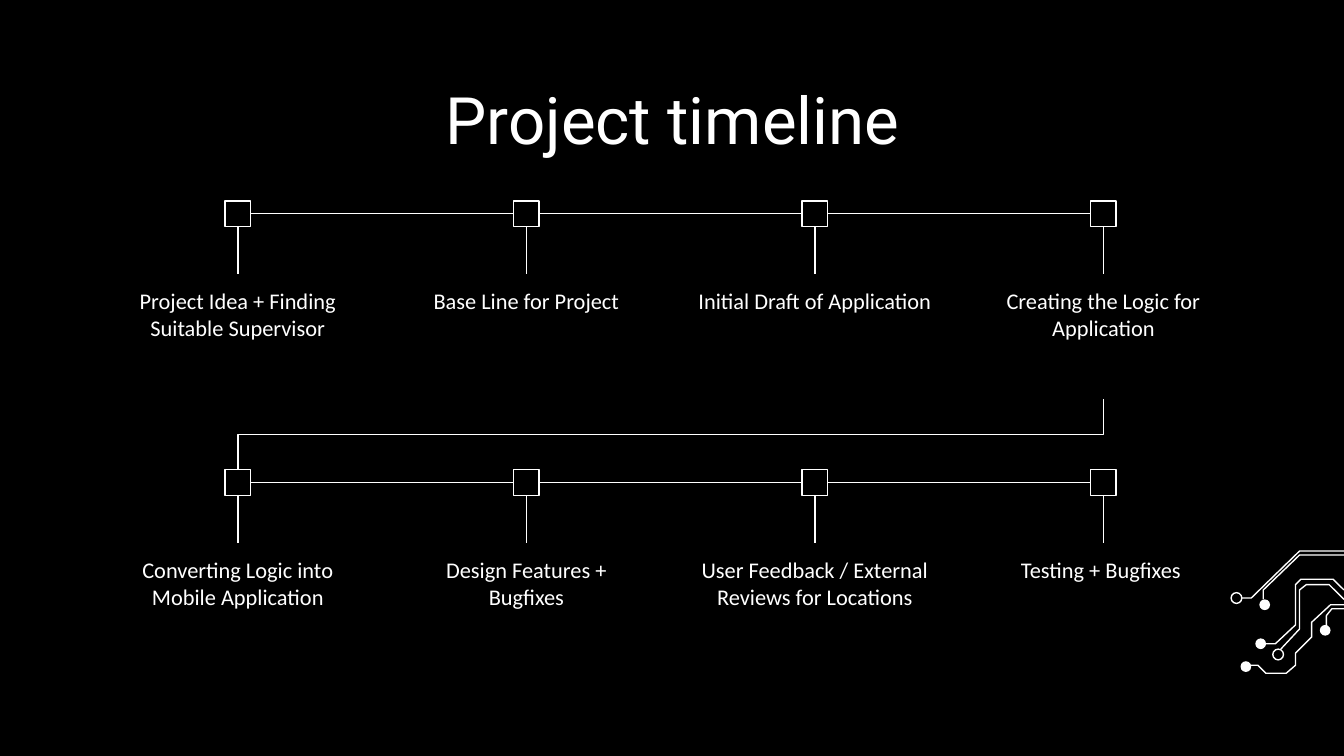
from lxml import etree
from pptx import Presentation
from pptx.dml.color import RGBColor
from pptx.enum import shapes, text
from pptx.oxml.ns import qn
from pptx.util import Inches, Pt

WHITE = "FFFFFF"
BLACK = "000000"
LINE_WIDTH = 0.75
SLIDE_W = 10
SLIDE_H = SLIDE_W * 9 / 16
FIRST_X, LAST_X = 1.77, 8.21
NODE = 0.19
STEM_BOTTOM = 0.45
LABEL_W, LABEL_H = 1.98, 0.93

ROWS = [
    (1.59, ["Project Idea + Finding Suitable Supervisor",
            "Base Line for Project",
            "Initial Draft of Application",
            "Creating the Logic for Application"]),
    (3.59, ["Converting Logic into Mobile Application",
            "Design Features + Bugfixes",
            "User Feedback / External Reviews for Locations",
            "Testing + Bugfixes "]),
]

TRACES = [
    [[(10, 4.13), (9.67, 4.13), (9.4, 4.39), (9.4, 4.46)]],
    [[(10, 4.1), (9.67, 4.1), (9.31, 4.45), (9.24, 4.45)]],
    [[(10, 4.5), (9.9, 4.5), (9.76, 4.63), (9.76, 4.74), (9.64, 4.86),
      (9.64, 4.95), (9.57, 5.01), (9.42, 5.01), (9.36, 4.95), (9.3, 4.95)],
     [(10, 4.53), (9.91, 4.53), (9.87, 4.58), (9.87, 4.67)]],
    [[(10, 4.46), (9.89, 4.35), (9.72, 4.35), (9.67, 4.39),
      (9.67, 4.68), (9.53, 4.83)]],
    [[(10, 4.39), (9.92, 4.31), (9.68, 4.31), (9.64, 4.35),
      (9.64, 4.65), (9.49, 4.79), (9.4, 4.79)]],
]
DOTS = [(9.38, 4.79), (9.27, 4.96), (9.86, 4.69), (9.41, 4.5)]
RINGS = [(9.51, 4.87), (9.2, 4.45)]


def rgb(color):
    return RGBColor.from_string(color)


def set_line(sp):
    sp.line.color.rgb = rgb(WHITE)
    sp.line.width = Pt(LINE_WIDTH)


def add_text(s, x, y, w, h, content, size, font):
    tf = s.shapes.add_textbox(Inches(x), Inches(y), Inches(w), Inches(h)).text_frame
    tf.word_wrap = True
    tf.vertical_anchor = text.MSO_ANCHOR.TOP
    tf.margin_left = tf.margin_right = Inches(0.1)
    tf.margin_top = tf.margin_bottom = Inches(0.1)
    p = tf.paragraphs[0]
    p.text = content
    p.alignment = text.PP_ALIGN.CENTER
    p.font.size = Pt(size)
    p.font.name = font
    p.font.color.rgb = rgb(WHITE)


def add_marker(s, kind, x, y, size, fill=None, outlined=True):
    sp = s.shapes.add_shape(kind, Inches(x - size / 2), Inches(y - size / 2),
                            Inches(size), Inches(size))
    sp.shadow.inherit = False
    if fill:
        sp.fill.solid()
        sp.fill.fore_color.rgb = rgb(fill)
    else:
        sp.fill.background()
    if outlined:
        set_line(sp)
    else:
        sp.line.fill.background()


def add_line(s, x1, y1, x2, y2, kind=shapes.MSO_CONNECTOR.STRAIGHT):
    cn = s.shapes.add_connector(kind, Inches(x1), Inches(y1), Inches(x2), Inches(y2))
    set_line(cn)
    etree.SubElement(cn._element.spPr, qn("a:effectLst"))
    return cn


def add_vertical_elbow(s, x1, y1, x2, y2):
    cx, cy = (x1 + x2) / 2, (y1 + y2) / 2
    half_w, half_h = (y2 - y1) / 2, (x1 - x2) / 2
    cn = add_line(s, cx - half_w, cy - half_h, cx + half_w, cy + half_h,
                  shapes.MSO_CONNECTOR.ELBOW)
    cn._element.spPr.find(qn("a:xfrm")).set("rot", str(90 * 60000))


def add_trace(s, strokes):
    strokes = [[(Inches(x), Inches(y)) for x, y in points] for points in strokes]
    fb = s.shapes.build_freeform(*strokes[0][0])
    for i, (start, *rest) in enumerate(strokes):
        if i:
            fb.move_to(*start)
        fb.add_line_segments(rest, close=False)
    sp = fb.convert_to_shape()
    sp.shadow.inherit = False
    sp.fill.background()
    set_line(sp)


def add_circuit(s):
    for strokes in TRACES:
        add_trace(s, strokes)
    for x, y in DOTS:
        add_marker(s, shapes.MSO_SHAPE.OVAL, x, y, 0.08, WHITE, outlined=False)
    for x, y in RINGS:
        add_marker(s, shapes.MSO_SHAPE.OVAL, x, y, 0.08, BLACK)


def add_timeline_row(s, y, labels):
    step = (LAST_X - FIRST_X) / (len(labels) - 1)
    for i, label in enumerate(labels):
        x = FIRST_X + i * step
        add_marker(s, shapes.MSO_SHAPE.RECTANGLE, x, y, NODE)
        add_line(s, x, y + NODE / 2, x, y + STEM_BOTTOM)
        add_text(s, x - LABEL_W / 2, y + STEM_BOTTOM, LABEL_W, LABEL_H,
                 label, 12, "Calibri")
        if i:
            add_line(s, x - step + NODE / 2, y, x - NODE / 2, y)


def main():
    prs = Presentation()
    prs.slide_width, prs.slide_height = Inches(SLIDE_W), Inches(SLIDE_H)
    s = prs.slides.add_slide(prs.slide_layouts[6])
    s.background.fill.solid()
    s.background.fill.fore_color.rgb = rgb(BLACK)

    add_circuit(s)
    add_text(s, 0.79, 0.49, 8.43, 0.63, "Project timeline", 35, "Roboto")
    for y, labels in ROWS:
        add_timeline_row(s, y, labels)
    top_y, bottom_y = ROWS[0][0], ROWS[1][0]
    add_vertical_elbow(s, LAST_X, top_y + STEM_BOTTOM + LABEL_H,
                       FIRST_X, bottom_y - NODE / 2)
    prs.save("out.pptx")


if __name__ == "__main__":
    main()
